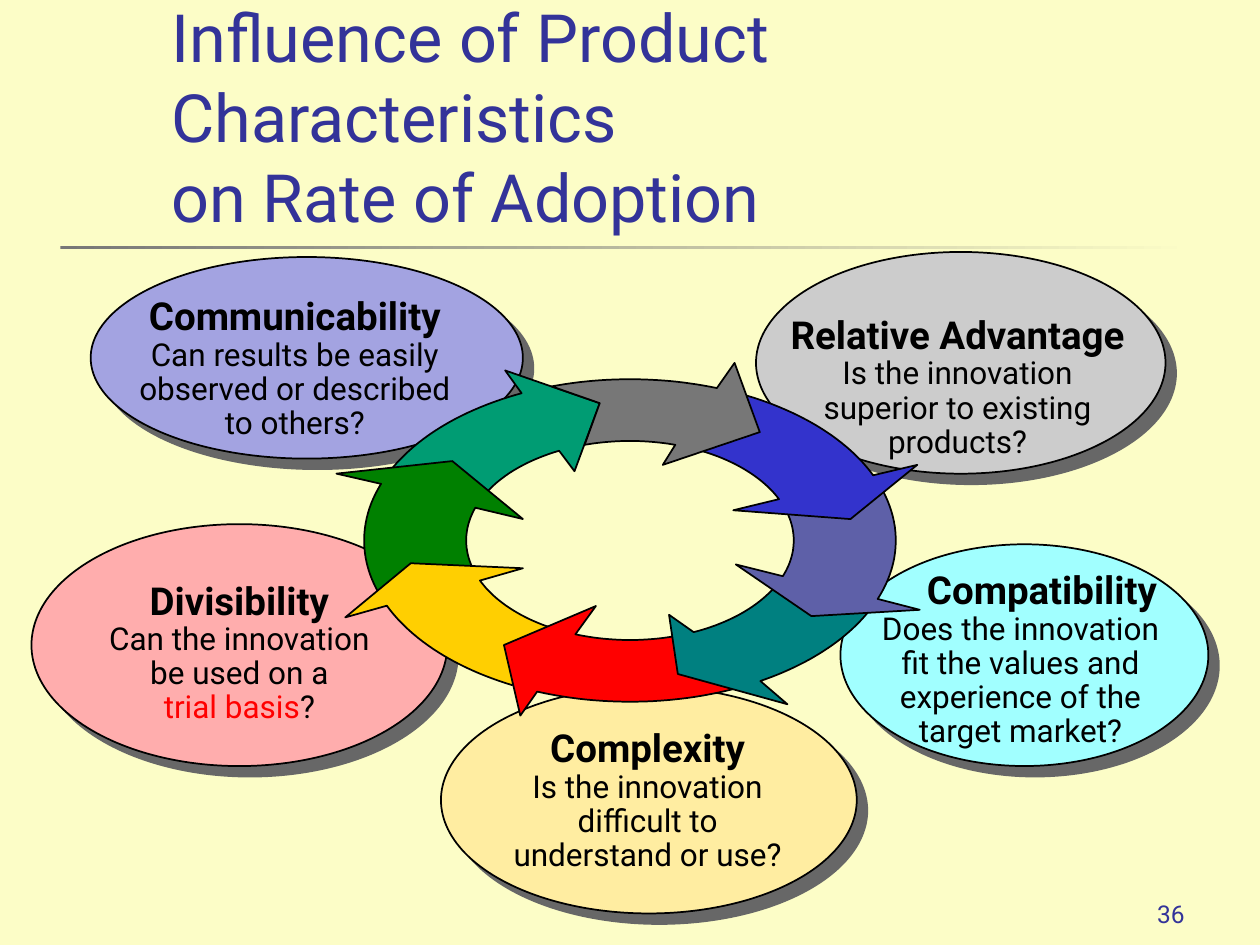
"""Build the slide on how product characteristics influence the rate of adoption."""
from math import atan2, cos, remainder, sin, tau

from lxml.etree import SubElement
from pptx import Presentation
from pptx.dml.color import RGBColor
from pptx.enum.shapes import MSO_SHAPE as SHAPE
from pptx.enum.text import MSO_ANCHOR as ANCHOR, PP_ALIGN as ALIGN
from pptx.oxml.ns import qn
from pptx.util import Inches, Pt

TITLE = "Influence of Product Characteristics\von Rate of Adoption"
PAGE_NUMBER = "36"
BACKGROUND, NAVY, BLACK, RED, GRAY = "FCFDC7", "333399", "000000", "FF0000", "777777"

CHARACTERISTICS = [
    {"heading": "Divisibility", "fill": "FFADAD", "oval": (0.25, 4.16, 3.3, 1.92),
     "center": (1.9, 5.19),
     "question": [[("Can the innovation", BLACK)], [("be used on a", BLACK)],
                  [("trial basis", RED), ("?", BLACK)]]},
    {"heading": "Complexity", "fill": "FFEDA1", "oval": (3.5, 5.45, 3.3, 1.8),
     "center": (5.14, 6.36),
     "question": [[("Is the innovation", BLACK)], [("difficult to", BLACK)],
                  [("understand or use?", BLACK)]]},
    {"heading": "Communicability", "fill": "A3A3E1", "oval": (0.72, 2.04, 3.43, 1.6),
     "center": (2.34, 2.93),
     "question": [[("Can results be easily", BLACK)], [("observed or described", BLACK)],
                  [("to others?", BLACK)]]},
    {"heading": "Compatibility", "fill": "A1FFFF", "oval": (6.67, 4.32, 2.92, 1.76),
     "center": (8.1, 5.24), "indent": 0.34,
     "question": [[("Does the innovation", BLACK)], [("fit the values and", BLACK)],
                  [("experience of the", BLACK)], [("target market?", BLACK)]]},
    {"heading": "Relative Advantage", "fill": "CCCCCC", "oval": (6, 2, 3.25, 1.76),
     "center": (7.6, 3.08),
     "question": [[("Is the innovation", BLACK)], [("superior to existing", BLACK)],
                  [("products?", BLACK)]]},
]

RING_CENTER = (5, 4.29)
OUTER_RADII, INNER_RADII = (2.11, 1.28), (1.3, 0.79)
ARROWS = [
    {"fill": "009C73", "outer": [(3.09, 3.74), (4.14, 3.12)],
     "head": [(4.01, 2.94), (4.76, 3.2), (4.56, 3.74)], "inner": [(4.44, 3.58), (3.82, 3.95)]},
    {"fill": "008000", "outer": [(3.05, 4.78), (3.02, 3.84)],
     "head": [(2.67, 3.76), (3.59, 3.66), (4.15, 4.12)], "inner": [(3.77, 4.03), (3.75, 4.51)]},
    {"fill": "FFCF01", "outer": [(4.07, 5.43), (3.06, 4.81)],
     "head": [(2.74, 4.9), (3.26, 4.47), (4.15, 4.51)], "inner": [(3.8, 4.61), (4.41, 4.99)]},
    {"fill": RED, "outer": [(5.82, 5.47), (4.27, 5.48)],
     "head": [(4.13, 5.68), (4, 5.12), (4.73, 4.81)], "inner": [(4.57, 5.03), (5.37, 5.05)]},
    {"fill": "008080", "outer": [(6.89, 4.84), (6.03, 5.4)],
     "head": [(6.25, 5.59), (5.38, 5.35), (5.31, 4.88)], "inner": [(5.5, 5.01), (6.16, 4.63)]},
    {"fill": "5E60A8", "outer": [(6.95, 3.78), (6.95, 4.75)],
     "head": [(7.3, 4.84), (6.44, 4.89), (5.84, 4.48)], "inner": [(6.2, 4.57), (6.24, 4.05)]},
    {"fill": "3333CC", "outer": [(5.92, 3.13), (6.94, 3.77)],
     "head": [(7.28, 3.69), (6.75, 4.12), (5.82, 4.05)], "inner": [(6.19, 3.96), (5.57, 3.58)]},
    {"fill": GRAY, "outer": [(4.38, 3.07), (5.69, 3.08)],
     "head": [(5.83, 2.88), (6.03, 3.43), (5.26, 3.69)], "inner": [(5.36, 3.53), (4.64, 3.53)],
     "notch": [(4.76, 3.2)]},
]


def color(hex_text):
    return RGBColor.from_string(hex_text)


def inches(values):
    return [Inches(value) for value in values]


def paint(shape, fill):
    shape.shadow.inherit = False
    shape.fill.solid()
    shape.fill.fore_color.rgb = color(fill)
    shape.line.color.rgb = color(BLACK)
    shape.line.width = Pt(1)


def drop_shadow(shape):
    effects = shape._element.spPr.find(qn("a:effectLst"))
    shadow = SubElement(effects, qn("a:outerShdw"), blurRad="0", dist=str(Pt(8.5)),
                        dir=str(45 * 60000), algn="ctr", rotWithShape="0")
    SubElement(shadow, qn("a:srgbClr"), val="676767")


def format_frame(frame, anchor, side, edge):
    settings = {"word_wrap": True, "vertical_anchor": anchor,
                "margin_left": Inches(side), "margin_right": Inches(side),
                "margin_top": Inches(edge), "margin_bottom": Inches(edge)}
    for key, value in settings.items():
        setattr(frame, key, value)


def format_font(font, size, ink, bold=False):
    for key, value in {"name": "Roboto", "size": Pt(size), "bold": bold}.items():
        setattr(font, key, value)
    font.color.rgb = color(ink)


def add_characteristic(shapes, item):
    oval = shapes.add_shape(SHAPE.OVAL, *inches(item["oval"]))
    paint(oval, item["fill"])
    drop_shadow(oval)
    lines = [[(item["heading"], BLACK)]] + item["question"]
    width, height = 2.8, 0.32 + 0.27 * len(item["question"])
    x, y = item["center"]
    label = shapes.add_textbox(*inches((x - width / 2, y - height / 2, width, height)))
    frame = label.text_frame
    format_frame(frame, ANCHOR.MIDDLE, 0.04, 0.04)
    for number, runs in enumerate(lines):
        line = frame.add_paragraph() if number else frame.paragraphs[0]
        line.alignment, line.line_spacing = ALIGN.CENTER, 0.9
        for words, ink in runs:
            run = line.add_run()
            run.text = words
            format_font(run.font, 18 if number else 22, ink, bold=not number)
    if "indent" in item:
        frame.paragraphs[0]._p.get_or_add_pPr().set("marL", str(Inches(item["indent"])))


def arc(ends, radii, steps=24):
    (cx, cy), (rx, ry) = RING_CENTER, radii
    start, stop = [atan2((y - cy) / ry, (x - cx) / rx) for x, y in ends]
    sweep = remainder(stop - start, tau)
    angles = [start + sweep * step / steps for step in range(steps + 1)]
    return [(cx + rx * cos(angle), cy + ry * sin(angle)) for angle in angles]


def add_arrow(shapes, arrow):
    outline = (arc(arrow["outer"], OUTER_RADII) + arrow["head"]
               + arc(arrow["inner"], INNER_RADII) + arrow.get("notch", []))
    points = [inches(point) for point in outline]
    builder = shapes.build_freeform(*points[0])
    builder.add_line_segments(points[1:], close=True)
    paint(builder.convert_to_shape(), arrow["fill"])


def add_rule(shapes):
    rule = shapes.add_shape(SHAPE.RECTANGLE, *inches((0.48, 1.95, 9, 0.03)))
    rule.shadow.inherit = False
    rule.line.fill.background()
    rule.fill.gradient()
    rule.fill.gradient_angle = 0
    for stop, tone, position in zip(rule.fill.gradient_stops, (GRAY, BACKGROUND), (0, 1)):
        stop.color.rgb, stop.position = color(tone), position


def write_line(shape, words, size, alignment):
    format_frame(shape.text_frame, ANCHOR.BOTTOM, 0.1, 0.05)
    shape.text_frame.text = words
    line = shape.text_frame.paragraphs[0]
    line.alignment = alignment
    for run in line.runs:
        format_font(run.font, size, NAVY)


def main():
    deck = Presentation()
    deck.slide_width, deck.slide_height = inches((10, 7.5))
    slide = deck.slides.add_slide(deck.slide_layouts[5])
    slide.background.fill.solid()
    slide.background.fill.fore_color.rgb = color(BACKGROUND)
    shapes = slide.shapes

    title = shapes.title
    title.left, title.top, title.width, title.height = inches((1.26, 0.67, 8.52, 1.25))
    write_line(title, TITLE, 38, ALIGN.LEFT)
    add_rule(shapes)
    page = shapes.add_textbox(*inches((7.42, 6.92, 2.08, 0.5)))
    write_line(page, PAGE_NUMBER, 14, ALIGN.RIGHT)

    for item in CHARACTERISTICS:
        add_characteristic(shapes, item)
    for arrow in ARROWS:
        add_arrow(shapes, arrow)
    deck.save("out.pptx")


if __name__ == "__main__":
    main()
